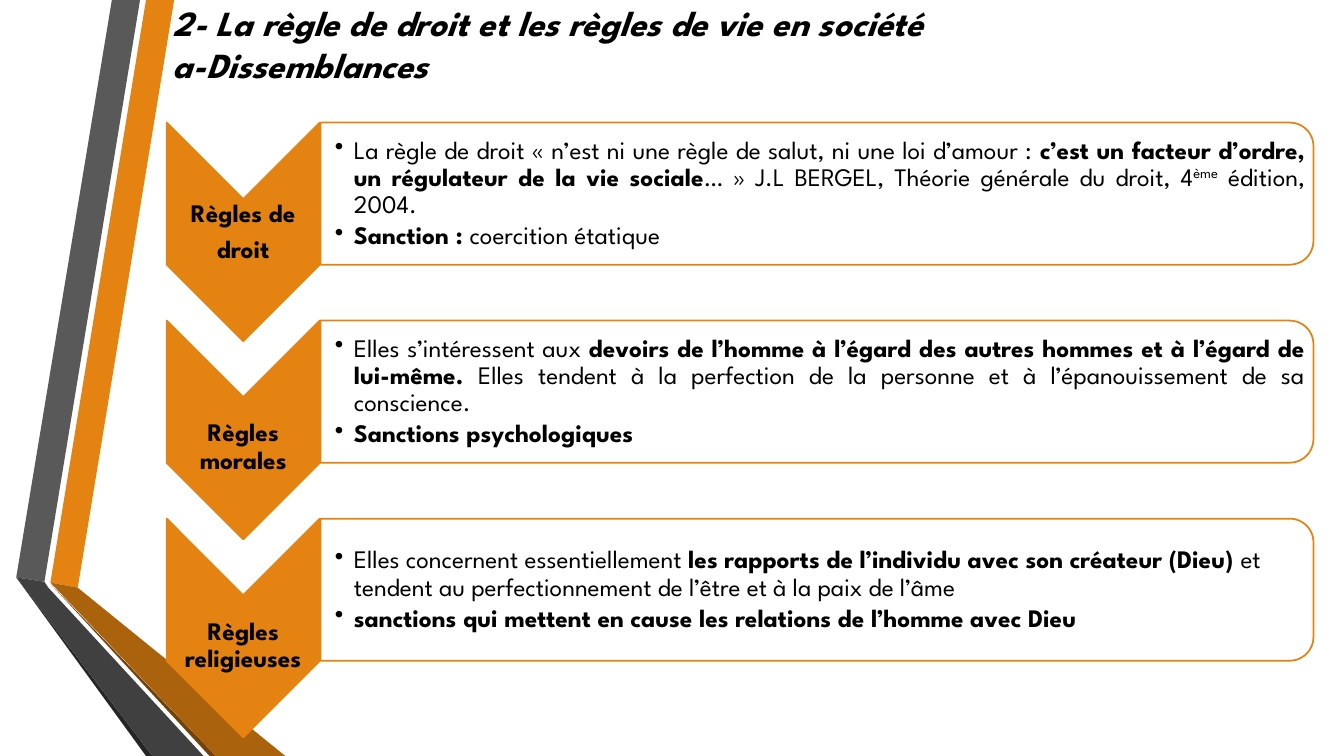
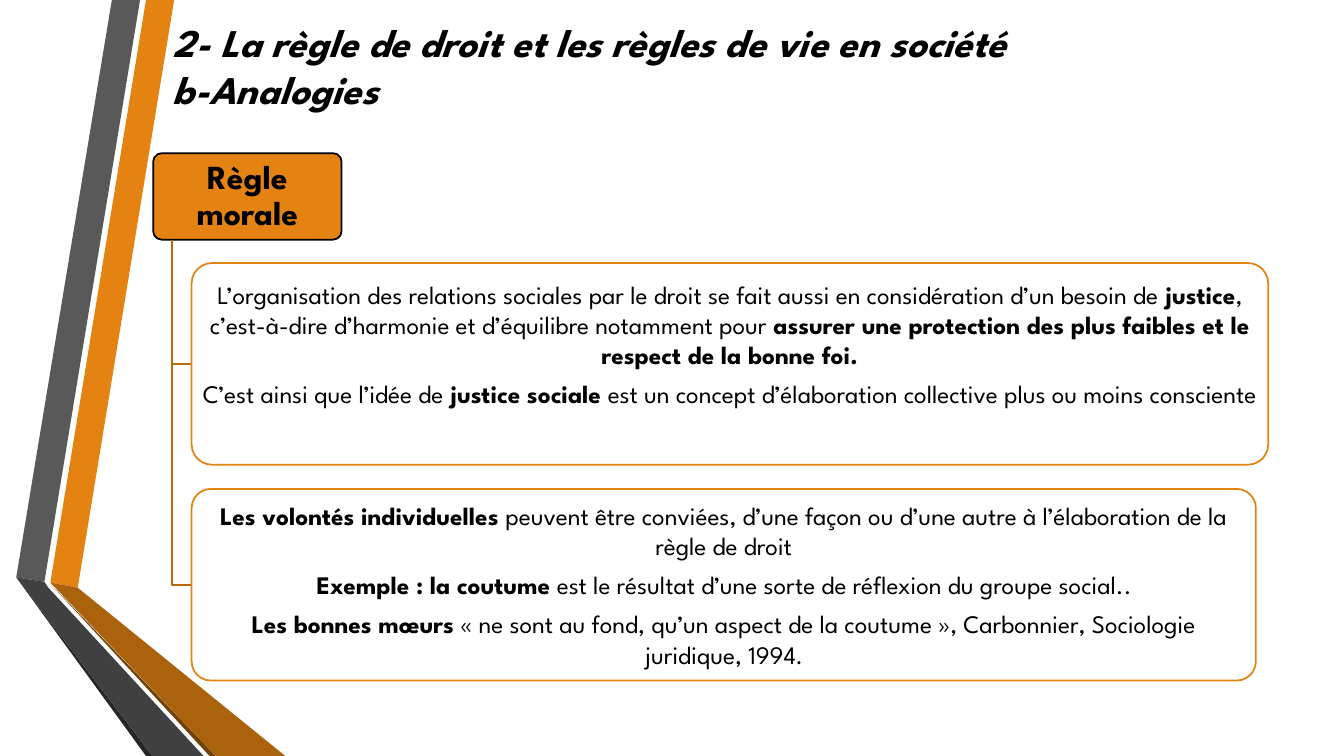
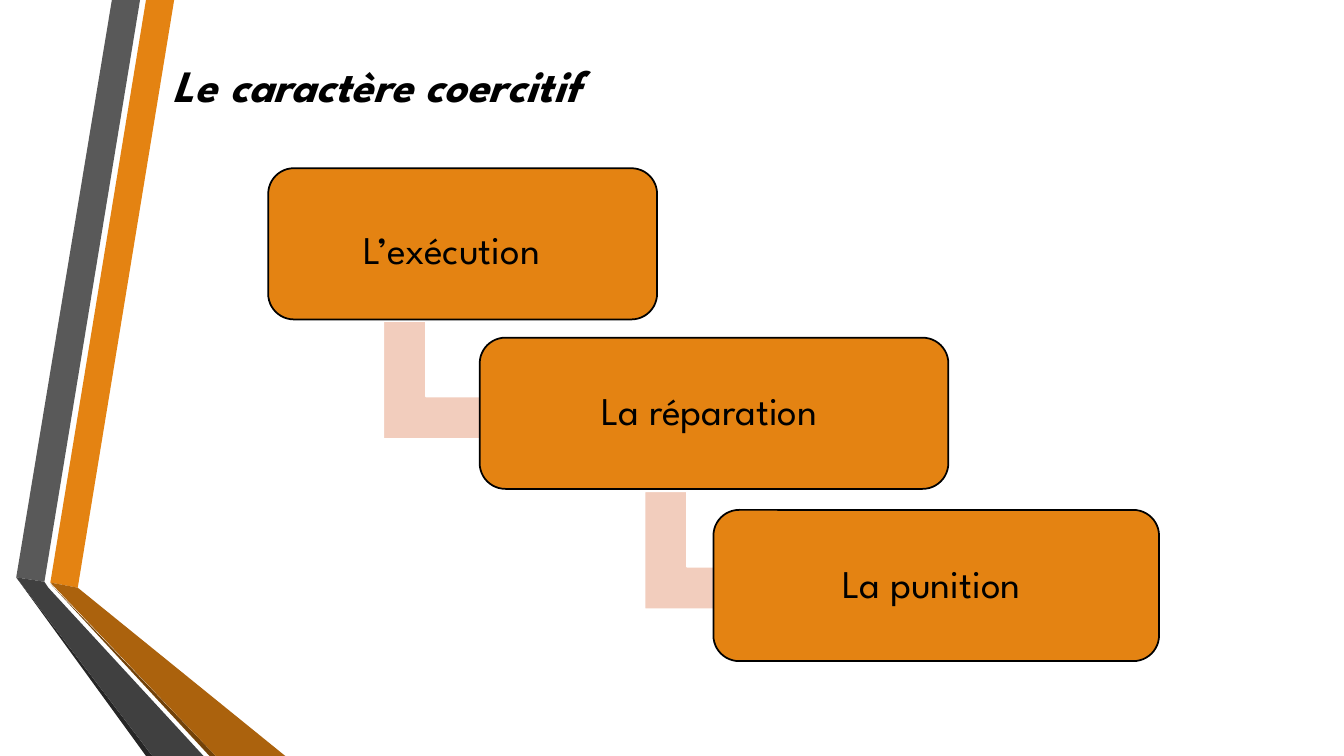
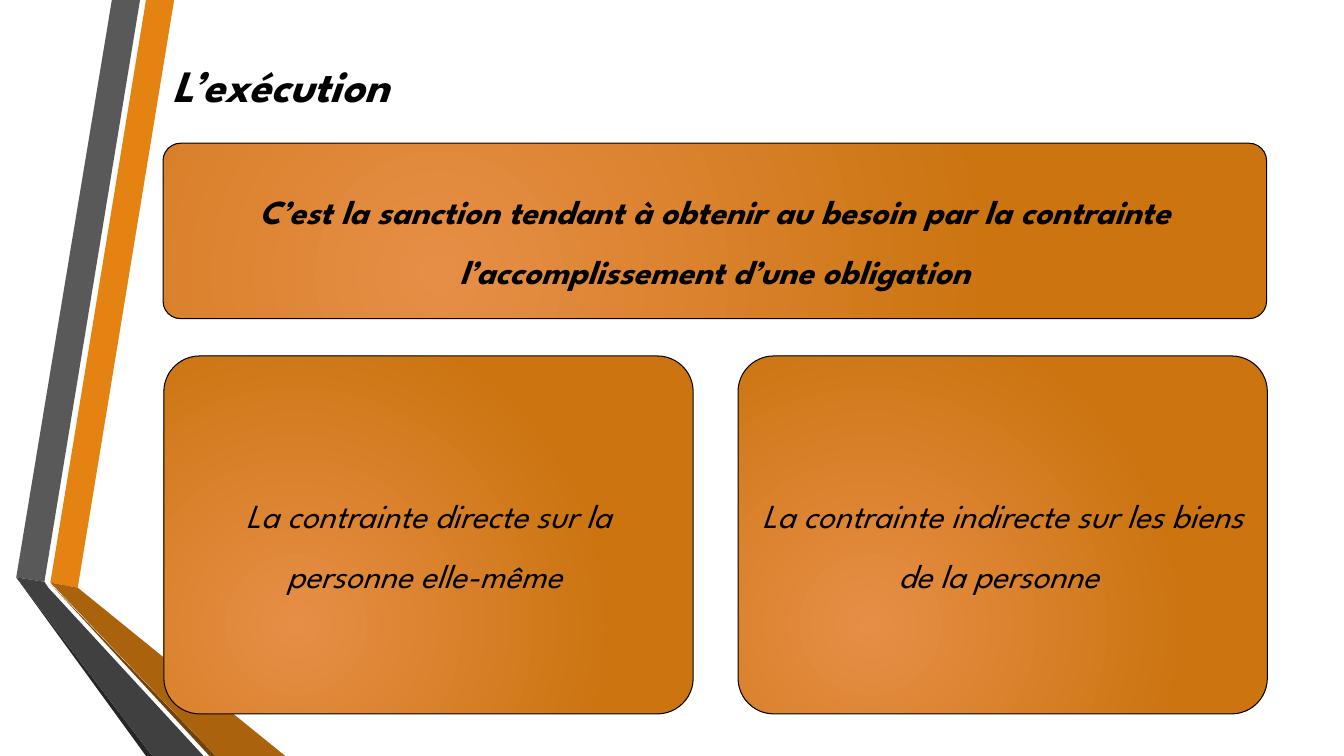
from dataclasses import dataclass
from typing import NamedTuple, Optional, Union

from pptx import Presentation
from pptx.dml.color import RGBColor
from pptx.enum.shapes import MSO_SHAPE
from pptx.enum.text import MSO_ANCHOR, PP_ALIGN
from pptx.oxml import parse_xml
from pptx.oxml.ns import nsdecls, qn
from pptx.util import Cm, Pt

FONT = "League Spartan"
HUES = {
    "orange": "E48312", "brown": "AB620D", "umber": "724209", "rust": "B7690E",
    "grey": "595959", "dark": "404040", "coal": "262626", "peach": "F2CDBD",
    "glow": "E68E46", "edge": "CB7410", "white": "FFFFFF", "black": "000000",
}
WIDE, HIGH = 33.87, 19.05
MID, JUST, LEFT = PP_ALIGN.CENTER, PP_ALIGN.JUSTIFY, PP_ALIGN.LEFT


class Run(NamedTuple):
    text: str
    form: dict = {}
    lift: int = 0


class Box(NamedTuple):
    x: float
    y: float
    w: float
    h: float

    def turn(self) -> "Box":
        """Frame that covers this box once rotated by 90 degrees."""
        return Box(self.x + (self.w - self.h) / 2, self.y + (self.h - self.w) / 2,
                   self.h, self.w)

    def cm(self) -> list:
        return [Cm(v) for v in self]


@dataclass
class Para:
    runs: list[Union[str, Run]]
    align: PP_ALIGN = MID
    lead: float = 1.0
    after: float = 6.3
    dot: bool = False


@dataclass
class Style:
    size: float = 18
    bold: bool = False
    slant: bool = False
    pad: tuple = (0.03, 0.03, 0.03, 0.03)


@dataclass
class Rule:
    label: list[str]
    items: list[Para]
    drop: float = 0.43


class Card(NamedTuple):
    box: Box
    paras: list[Para]
    style: Style


class Band(NamedTuple):
    hue: str
    dots: list


BANDS = [
    Band("orange", [(1.27, 14.68), (1.96, 14.81), (4.39, 0), (3.68, 0)]),
    Band("grey", [(3.53, 0), (2.82, 0), (0.41, 14.55), (1.12, 14.66)]),
    Band("coal", [(0.41, 14.55), (3.68, HIGH), (3.84, HIGH)]),
    Band("umber", [(1.27, 14.71), (5.28, HIGH), (5.44, HIGH)]),
    Band("brown", [(1.27, 14.68), (5.44, HIGH), (7.19, HIGH), (1.96, 14.81)]),
    Band("dark", [(5.13, HIGH), (1.22, 14.81), (1.12, 14.66), (0.41, 14.55), (3.84, HIGH)]),
]


def tint(name: str) -> RGBColor:
    return RGBColor.from_string(HUES[name])


def bold(text: str) -> Run:
    return Run(text, {"bold": True})


def item(*runs: Union[str, Run], align: PP_ALIGN = JUST) -> Para:
    return Para(list(runs), align, 0.9, 2.7, True)


def write(shape, paras: list[Para], style: Style) -> None:
    frame = shape.text_frame
    sides = ("margin_left", "margin_top", "margin_right", "margin_bottom")
    form = {"word_wrap": True, "vertical_anchor": MSO_ANCHOR.MIDDLE,
            **{side: Cm(v) for side, v in zip(sides, style.pad)}}
    for key, value in form.items():
        setattr(frame, key, value)
    for i, para in enumerate(paras):
        line = frame.add_paragraph() if i else frame.paragraphs[0]
        form = {"alignment": para.align, "line_spacing": para.lead,
                "space_after": Pt(para.after)}
        for key, value in form.items():
            setattr(line, key, value)
        if para.dot:
            props = line._p.get_or_add_pPr()
            props.set("marL", str(Cm(0.48)))
            props.set("indent", str(-Cm(0.48)))
            props.append(parse_xml(f'<a:buChar {nsdecls("a")} char="•"/>'))
        for part in para.runs:
            part = Run(part) if isinstance(part, str) else part
            run = line.add_run()
            run.text = part.text
            form = {"name": FONT, "size": Pt(style.size), "bold": style.bold,
                    "italic": style.slant, **part.form}
            for key, value in form.items():
                setattr(run.font, key, value)
            run.font.color.rgb = tint("black")
            if part.lift:
                run.font._element.set("baseline", str(part.lift * 1000))


def paint(shape, fill: Optional[str], line: Optional[str], width: float = 1.25) -> None:
    shape.shadow.inherit = False
    for part, hue in ((shape.fill, fill), (shape.line.fill, line)):
        if hue:
            part.solid()
            part.fore_color.rgb = tint(hue)
        else:
            part.background()
    if line:
        shape.line.width = Pt(width)


def glow(shape) -> None:
    """Fill with a round gradient centred low on the left."""
    shape.fill.gradient()
    for stop, hue in zip(shape.fill.gradient_stops, ("glow", "edge")):
        stop.color.rgb = tint(hue)
    grad = shape._element.spPr.find(qn("a:gradFill"))
    grad.remove(grad.find(qn("a:lin")))
    grad.append(parse_xml(
        f'<a:path {nsdecls("a")} path="circle">'
        '<a:fillToRect l="50000" t="100000" r="100000" b="50000"/></a:path>'))


def trace(slide, dots: list, fill: Optional[str], line: Optional[str] = None):
    """Draw an outline, closed only when it has a fill."""
    pts = [(Cm(x), Cm(y)) for x, y in dots]
    pen = slide.shapes.build_freeform(*pts[0], scale=1.0)
    pen.add_line_segments(pts[1:], close=bool(fill))
    shape = pen.convert_to_shape()
    paint(shape, fill, line)
    return shape


def label(slide, box: Box, paras: list[Para], style: Style) -> None:
    write(slide.shapes.add_textbox(*box.cm()), paras, style)


def turned(slide, kind: MSO_SHAPE, box: Box, fill: str, line: str):
    """Add a shape rotated by 90 degrees that covers the box."""
    shape = slide.shapes.add_shape(kind, *box.turn().cm())
    shape.rotation = 90
    paint(shape, fill, line)
    return shape


def round_box(slide, card: Card, fill: str, line: str, curve: float = 0.1,
              width: float = 1.25):
    shape = slide.shapes.add_shape(MSO_SHAPE.ROUNDED_RECTANGLE, *card.box.cm())
    shape.adjustments[0] = curve
    paint(shape, fill, line, width)
    write(shape, card.paras, card.style)
    return shape


def start(deck, lines: list[str], top: float, high: float, size: float):
    """Add a slide with its title."""
    slide = deck.slides.add_slide(deck.slide_layouts[6])
    label(slide, Box(4.11, top, 27.84, high), [Para([t], LEFT, after=0) for t in lines],
          Style(size, True, True, (0.25, 0.13, 0.25, 0.13)))
    return slide


def add_bands(deck) -> None:
    """Put the side bands on the blank layout, shared by all slides."""
    slide = deck.slides[0]
    tree = deck.slide_layouts[6].shapes._spTree
    for band in BANDS:
        tree.append(trace(slide, band.dots, band.hue)._element)


RULES = [
    Rule(["Règles de", "droit"], [
        item("La règle de droit « n’est ni une règle de salut, ni une loi d’amour : ",
             bold("c’est un facteur d’ordre, un régulateur de la vie sociale"),
             "… » J.L BERGEL, Théorie générale du droit, 4", Run("ème", lift=30),
             " édition, 2004. "),
        item(bold("Sanction : "), "coercition étatique "),
    ], 0),
    Rule(["Règles morales"], [
        item("Elles s’intéressent aux ",
             bold("devoirs de l’homme à l’égard des autres hommes et à l’égard de lui-même. "),
             "Elles tendent à la perfection de la personne et à l’épanouissement de sa "
             "conscience."),
        item(bold("Sanctions psychologiques"), align=LEFT),
    ]),
    Rule(["Règles religieuses"], [
        item("Elles concernent essentiellement ",
             bold("les rapports de l’individu avec son créateur (Dieu) "),
             "et tendent au perfectionnement de l’être et à la paix de l’âme", align=LEFT),
        item(bold("sanctions qui mettent en cause les relations de l’homme avec Dieu"),
             align=LEFT),
    ]),
]


def contrast(deck) -> None:
    slide = start(deck, ["2- La règle de droit et les règles de vie en société",
                         "a-Dissemblances"], 0, 2.18, 25.2)
    for i, rule in enumerate(RULES):
        top = 3.09 + i * 4.99
        turned(slide, MSO_SHAPE.CHEVRON, Box(4.2, top, 3.86, 5.51), "orange", "orange")
        label(slide, Box(4.2, top + 1.94 + rule.drop, 3.86, 1.65),
              [Para([t], lead=0.9) for t in rule.label], Style(bold=True))
        turned(slide, MSO_SHAPE.ROUND_2_SAME_RECTANGLE, Box(8.08, top, 25.02, 3.58),
               "white", "orange")
        label(slide, Box(8.08, top + 0.18, 24.84, 3.23), rule.items,
              Style(pad=(0.36, 0.03, 0.03, 0.03)))


def likeness(deck) -> None:
    slide = start(deck, ["2- La règle de droit et les règles de vie en société",
                         "b-Analogies"], 0.66, 1.96, 28)
    head = Card(Box(3.86, 3.86, 4.75, 2.18), [Para(["Règle morale"], lead=0.9)],
                Style(24, True, pad=(0.13, 0.08, 0.13, 0.08)))
    end = Run(".", {"name": "Calibri"})
    cards = [
        Card(Box(4.83, 6.63, 27.13, 5.08), [
            Para(["L’organisation des relations sociales par le droit se fait aussi en "
                  "considération d’un besoin de ", bold("justice"),
                  ", c’est-à-dire d’harmonie et d’équilibre notamment pour ",
                  bold("assurer une protection des plus faibles et le respect de la "
                       "bonne foi.")]),
            Para(["C’est ainsi que l’idée de", bold(" justice sociale "),
                  "est un concept d’élaboration collective plus ou moins consciente"]),
        ], Style(pad=(0.08, 0.05, 0.08, 1.05))),
        Card(Box(4.83, 12.32, 26.82, 4.83), [
            Para([bold("Les volontés individuelles "),
                  "peuvent être conviées, d’une façon ou d’une autre à l’élaboration de la "
                  "règle de droit"]),
            Para([bold("Exemple : la coutume "),
                  "est le résultat d’une sorte de réflexion du groupe social.", end]),
            Para([bold("Les bonnes mœurs"),
                  " « ne sont au fond, qu’un aspect de la coutume », Carbonnier, "
                  "Sociologie juridique, 1994", end]),
        ], Style(pad=(0.1, 0.08, 0.1, 0.08))),
    ]
    round_box(slide, head, "orange", "black")
    stem, foot = 4.34, head.box.y + head.box.h
    for card in cards:
        mid = card.box.y + card.box.h / 2
        trace(slide, [(stem, foot), (stem, mid), (card.box.x, mid)], None, "rust")
        round_box(slide, card, "white", "orange")


def steps(deck) -> None:
    slide = start(deck, ["Le caractère coercitif"], 0.97, 2.31, 32)
    pad = (0.3, 0.3, 0.3, 0.3)
    cards = [Card(Box(x, y, w, 3.81), [Para([text], lead=0.9)], Style(28, pad=inset))
             for text, x, y, w, inset in (
                 ("L’exécution ", 6.76, 4.24, 9.8, (0.3, 0.7, 0.6, 0.3)),
                 ("La réparation ", 12.09, 8.51, 11.81, pad),
                 ("La punition ", 17.98, 12.85, 11.23, pad))]
    bends: list = [Box(9.66, 8.09, 3.68, 3.25), Box(16.24, 12.38, 3.68, 3.25), None]
    for card, bend in zip(cards, bends):
        if bend:
            arrow = turned(slide, MSO_SHAPE.BENT_UP_ARROW, bend, "peach", "white")
            for i, value in enumerate((0.33, 0.25, 0.36)):
                arrow.adjustments[i] = value
        round_box(slide, card, "orange", "black", 0.17)


def force(deck) -> None:
    slide = start(deck, ["L’exécution"], 0.69, 2.9, 32)
    pad = (0.25, 0.25, 0.25, 0.25)
    for box, text, thick in (
        (Box(4.11, 3.61, 27.81, 4.42), "C’est la sanction tendant à obtenir au besoin par la "
         "contrainte l’accomplissement d’une obligation", True),
        (Box(4.13, 8.97, 13.34, 9.02),
         "La contrainte directe sur la personne elle-même ", False),
        (Box(18.6, 8.97, 13.34, 9.02),
         "La contrainte indirecte sur les biens de la personne ", False),
    ):
        card = Card(box, [Para([text], lead=1.5)], Style(24, thick, True, pad))
        glow(round_box(slide, card, "orange", "black", width=0.75))


def main() -> None:
    deck = Presentation()
    deck.slide_width, deck.slide_height = Cm(WIDE), Cm(HIGH)
    for build in (contrast, likeness, steps, force):
        build(deck)
    add_bands(deck)
    deck.save("out.pptx")


if __name__ == "__main__":
    main()
